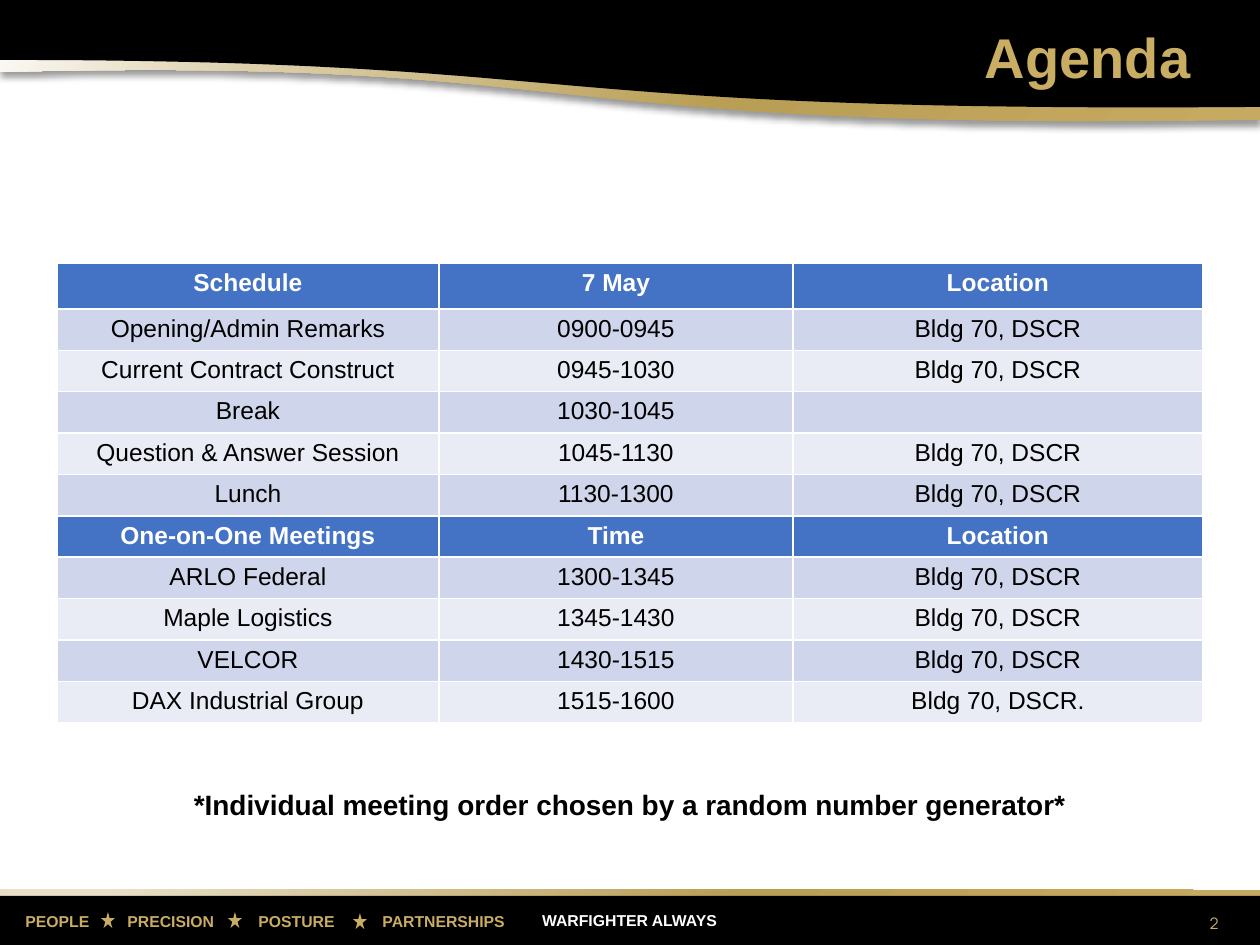
import pptx
import pptx.dml.color
import pptx.enum.shapes
import pptx.enum.text
import pptx.oxml
import pptx.oxml.ns
import pptx.util
from lxml import etree

PX = 914400 // 126
GOLD = "C9AD62"
BLACK = "000000"
WHITE = "FFFFFF"
BLUE = "4472C4"
BANDS = ["CFD5EA", "E9EBF5"]
ALIGN = pptx.enum.text.PP_ALIGN
ANCHOR = pptx.enum.text.MSO_ANCHOR
SHAPE = pptx.enum.shapes.MSO_SHAPE


def color(target, value):
    if hasattr(target, "solid"):
        target.solid()
        target = target.fore_color
    else:
        target = target.color
    target.rgb = pptx.dml.color.RGBColor.from_string(value)


def write(frame, text, size, value, align, bold=True, font="Arial", tabs=()):
    paragraph = frame.paragraphs[0]
    paragraph.text = text
    paragraph.alignment = align
    if tabs:
        tab_list = etree.SubElement(paragraph._p.get_or_add_pPr(), pptx.oxml.ns.qn("a:tabLst"))
        for position in tabs:
            etree.SubElement(tab_list, pptx.oxml.ns.qn("a:tab"), pos=str(position * PX), algn="l")
    paragraph.font.size = pptx.util.Pt(size)
    paragraph.font.name = font
    paragraph.font.bold = bold
    color(paragraph.font, value)
    if not text:
        etree.SubElement(paragraph._p, pptx.oxml.ns.qn("a:endParaRPr"), sz=str(size * 100))


presentation = pptx.Presentation()
presentation.slide_width = pptx.util.Inches(10)
presentation.slide_height = pptx.util.Inches(7.5)
slide = presentation.slides.add_slide(presentation.slide_layouts[6])
shapes = slide.shapes

footer_line = shapes.add_shape(SHAPE.RECTANGLE, 0, 890 * PX, 1260 * PX, 7 * PX)
footer_bar = shapes.add_shape(SHAPE.RECTANGLE, 0, 896 * PX, 1260 * PX, 49 * PX)

waves = []
for top, curve in [
    (21, [(0, 72), (610, 57), (504, 132), (1260, 120)]),
    (0, [(0, 60), (607, 60), (501, 113), (1260, 107)]),
]:
    points = []
    for step in range(61):
        t = step / 60
        weights = [(1 - t) ** 3, 3 * t * (1 - t) ** 2, 3 * t * t * (1 - t), t ** 3]
        points.append([sum(w * point[axis] for w, point in zip(weights, curve)) * PX for axis in (0, 1)])
    builder = shapes.build_freeform(1260 * PX, top * PX)
    builder.add_line_segments([(0, top * PX)] + points)
    waves.append(builder.convert_to_shape())
gold_wave, black_wave = waves

for shape in (footer_bar, black_wave):
    color(shape.fill, BLACK)
    shape.line.fill.background()
    shape.shadow.inherit = False

namespace = pptx.oxml.ns.nsdecls("a")
for shape, stops in [
    (footer_line, [(9, "E8DFC6"), (59, "B99E55"), (100, "C7AA61")]),
    (gold_wave, [(0, WHITE), (22, "DCCFAA"), (59, "B99E55"), (100, "C7AA61")]),
]:
    shape.line.fill.background()
    shape.shadow.inherit = False
    stop_xml = "".join(
        f'<a:gs pos="{position * 1000}"><a:srgbClr val="{value}"/></a:gs>' for position, value in stops
    )
    gradient = pptx.oxml.parse_xml(
        f'<a:gradFill {namespace} rotWithShape="1"><a:gsLst>{stop_xml}</a:gsLst>'
        '<a:path path="circle"><a:fillToRect r="100000" b="100000"/></a:path></a:gradFill>'
    )
    shadow = pptx.oxml.parse_xml(
        f'<a:outerShdw {namespace} blurRad="50800" dist="38100" dir="5400000" algn="t" rotWithShape="0">'
        '<a:srgbClr val="000000"><a:alpha val="40000"/></a:srgbClr></a:outerShdw>'
    )
    properties = shape._element.spPr
    properties.find(pptx.oxml.ns.qn("a:ln")).addprevious(gradient)
    properties.find(pptx.oxml.ns.qn("a:effectLst")).append(shadow)

for left, top in [(101, 912), (228, 912), (353, 913)]:
    star = shapes.add_shape(SHAPE.STAR_5_POINT, left * PX, top * PX, 14 * PX, 16 * PX)
    color(star.fill, GOLD)
    star.line.fill.background()
    star.shadow.inherit = False

values = "PEOPLE\tPRECISION\tPOSTURE\tPARTNERSHIPS"
note = "*Individual meeting order chosen by a random number generator*"
for text, left, top, width, height, size, value, align, options in [
    ("WARFIGHTER ALWAYS", 517, 905, 225, 32, 9, WHITE, ALIGN.CENTER, {}),
    (values, 13, 906, 549, 32, 9, GOLD, ALIGN.LEFT, {"tabs": (102, 233, 357)}),
    ("Agenda", 456, 16, 747, 76, 32, GOLD, ALIGN.RIGHT, {}),
    ("2", 914, 898, 317, 50, 9, GOLD, ALIGN.RIGHT, {"bold": False, "font": "Manrope"}),
    (note, 168, 781, 924, 47, 16, BLACK, ALIGN.CENTER, {}),
]:
    box = shapes.add_textbox(left * PX, top * PX, width * PX, height * PX)
    box.text_frame.word_wrap = True
    if text == "2":
        box.text_frame.vertical_anchor = ANCHOR.MIDDLE
    write(box.text_frame, text, size, value, align, **options)

place = "Bldg 70, DSCR"
agenda = [
    ("Schedule", "7 May", "Location"),
    ("Opening/Admin Remarks", "0900-0945", place),
    ("Current Contract Construct", "0945-1030", place),
    ("Break", "1030-1045", ""),
    ("Question & Answer Session", "1045-1130", place),
    ("Lunch", "1130-1300", place),
    ("One-on-One Meetings", "Time", "Location"),
    ("ARLO Federal", "1300-1345", place),
    ("Maple Logistics", "1345-1430", place),
    ("VELCOR", "1430-1515", place),
    ("DAX Industrial Group", "1515-1600", place + "."),
]
table = shapes.add_table(len(agenda), 3, 57 * PX, 263 * PX, 1146 * PX, 446 * PX).table
for column, width in zip(table.columns, (382, 354, 410)):
    column.width = width * PX
for index, entries in enumerate(agenda):
    table.rows[index].height = (40 if index else 46) * PX
    heading = entries[2] == "Location"
    if heading:
        heading_index = index
    for cell, text in zip(table.rows[index].cells, entries):
        cell.margin_top = cell.margin_bottom = 6 * PX
        color(cell.fill, BLUE if heading else BANDS[(index - heading_index - 1) % 2])
        write(cell.text_frame, text, 14, WHITE if heading else BLACK, ALIGN.CENTER, bold=heading)

presentation.save("out.pptx")
